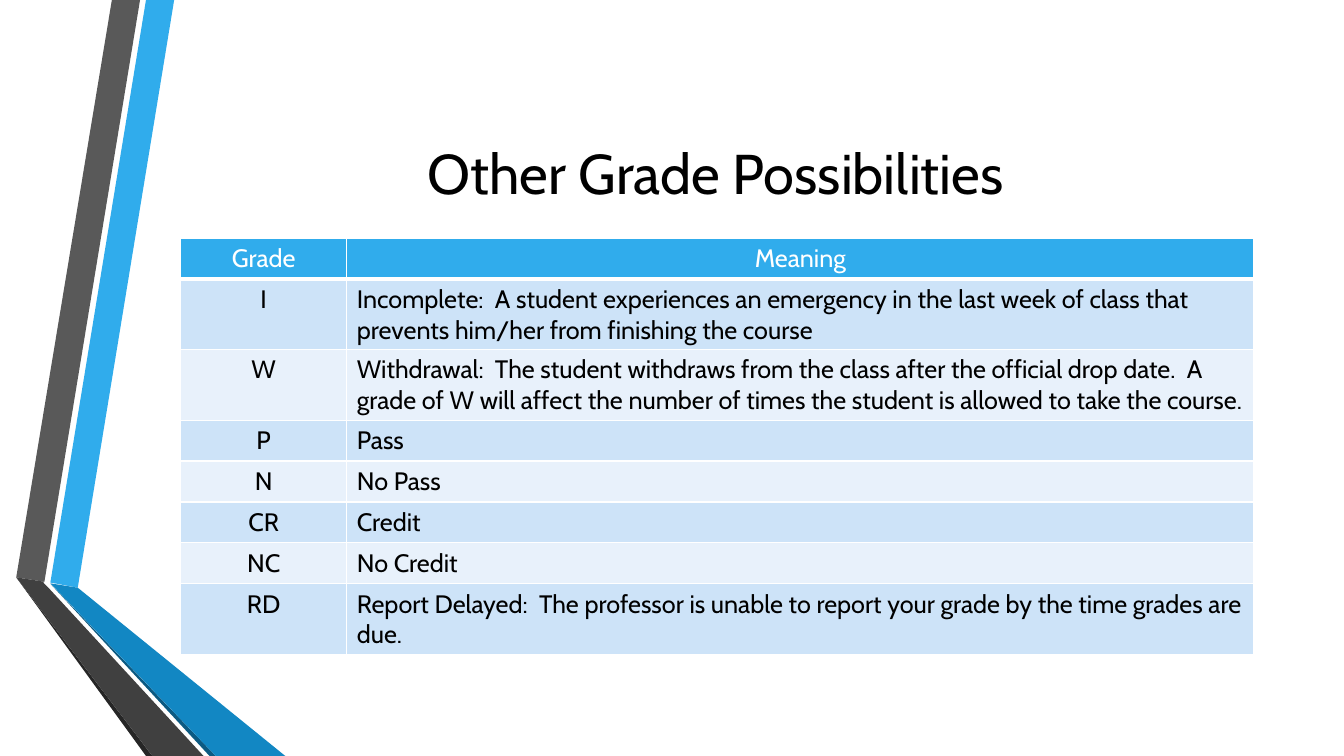
from lxml.etree import SubElement
from pptx import Presentation
from pptx.dml.color import RGBColor
from pptx.enum.text import MSO_ANCHOR, PP_ALIGN
from pptx.oxml.ns import qn
from pptx.util import Cm, Pt

BLACK = RGBColor(0x00, 0x00, 0x00)
WHITE = RGBColor(0xFF, 0xFF, 0xFF)
BLUE = RGBColor(0x30, 0xAC, 0xEC)
MID_BLUE = RGBColor(0x12, 0x87, 0xC3)
DEEP_BLUE = RGBColor(0x0C, 0x5A, 0x82)
GRAY = RGBColor(0x59, 0x59, 0x59)
DARK_GRAY = RGBColor(0x40, 0x40, 0x40)
CHARCOAL = RGBColor(0x26, 0x26, 0x26)
BAND_DARK = RGBColor(0xCD, 0xE3, 0xF8)
BAND_LIGHT = RGBColor(0xE8, 0xF1, 0xFB)

RIBBONS = [
    (BLUE, [(1.27, 14.68), (1.96, 14.81), (4.39, 0), (3.68, 0)]),
    (GRAY, [(3.53, 0), (2.82, 0), (0.41, 14.55), (1.12, 14.66)]),
    (CHARCOAL, [(0.41, 14.55), (3.68, 19.05), (3.84, 19.05)]),
    (DEEP_BLUE, [(1.27, 14.71), (5.28, 19.05), (5.44, 19.05)]),
    (MID_BLUE, [(1.27, 14.7), (5.44, 19.05), (7.19, 19.05), (1.96, 14.81)]),
    (DARK_GRAY, [(5.13, 19.05), (1.22, 14.81), (1.09, 14.68), (1.12, 14.66),
                 (0.41, 14.55), (3.84, 19.05)]),
]

GRADES = [
    ("Grade", "Meaning"),
    ("I", "Incomplete:  A student experiences an emergency in the last week of "
          "class that prevents him/her from finishing the course"),
    ("W", "Withdrawal:  The student withdraws from the class after the official "
          "drop date.  A grade of W will affect the number of times the student "
          "is allowed to take the course."),
    ("P", "Pass"),
    ("N", "No Pass"),
    ("CR", "Credit"),
    ("NC", "No Credit"),
    ("RD", "Report Delayed:  The professor is unable to report your grade by the "
           "time grades are due."),
]


class SlideBuilder:
    """Draw the elements of one slide in a shared style."""

    font_name = "Cabin"

    def __init__(self, s):
        self.s = s

    def format_text(self, tf, size, color, align):
        for p in tf.paragraphs:
            p.alignment = align
            for r in p.runs:
                r.font.name = self.font_name
                r.font.size = Pt(size)
                r.font.color.rgb = color

    def ribbon(self, color, points):
        start, *rest = [(Cm(x), Cm(y)) for x, y in points]
        builder = self.s.shapes.build_freeform(*start)
        builder.add_line_segments(rest, close=True)
        sp = builder.convert_to_shape()
        sp.shadow.inherit = False
        sp.fill.solid()
        sp.fill.fore_color.rgb = color
        sp.line.fill.background()

    def title(self, text, left, top, width, height):
        sp = self.s.shapes.add_textbox(Cm(left), Cm(top), Cm(width), Cm(height))
        tf = sp.text_frame
        tf.word_wrap = True
        tf.vertical_anchor = MSO_ANCHOR.MIDDLE
        tf.text = text
        self.format_text(tf, 40, BLACK, PP_ALIGN.CENTER)

    def borders(self, cell, top, bottom):
        tc_pr = cell._tc.get_or_add_tcPr()
        for side, width in (("L", 1), ("R", 1), ("T", top), ("B", bottom)):
            ln = SubElement(tc_pr, qn(f"a:ln{side}"), w=str(Pt(width)))
            fill = SubElement(ln, qn("a:solidFill"))
            SubElement(fill, qn("a:srgbClr"), val=str(WHITE))

    def table(self, rows, left, top, col_widths, row_height):
        frame = self.s.shapes.add_table(
            len(rows), len(col_widths), Cm(left), Cm(top),
            Cm(sum(col_widths)), Cm(row_height * len(rows)))
        table = frame.table
        for column, width in zip(table.columns, col_widths):
            column.width = Cm(width)
        for i, texts in enumerate(rows):
            header = i == 0
            band = BLUE if header else BAND_DARK if i % 2 else BAND_LIGHT
            for j, text in enumerate(texts):
                cell = table.cell(i, j)
                cell.text_frame.text = text
                centered = header or j == 0
                self.format_text(cell.text_frame, 18, WHITE if header else BLACK,
                                 PP_ALIGN.CENTER if centered else PP_ALIGN.LEFT)
                self.borders(cell, 3 if i == 1 else 1, 3 if header else 1)
                cell.fill.solid()
                cell.fill.fore_color.rgb = band


def main():
    prs = Presentation()
    prs.slide_width, prs.slide_height = Cm(33.87), Cm(19.05)
    s = prs.slides.add_slide(prs.slide_layouts[6])
    builder = SlideBuilder(s)
    for color, points in RIBBONS:
        builder.ribbon(color, points)
    builder.title("Other Grade Possibilities", 4.11, 1.9, 27.84, 4.88)
    builder.table(GRADES, 4.55, 6, (4.19, 22.86), 1.03)
    prs.save("out.pptx")


if __name__ == "__main__":
    main()
